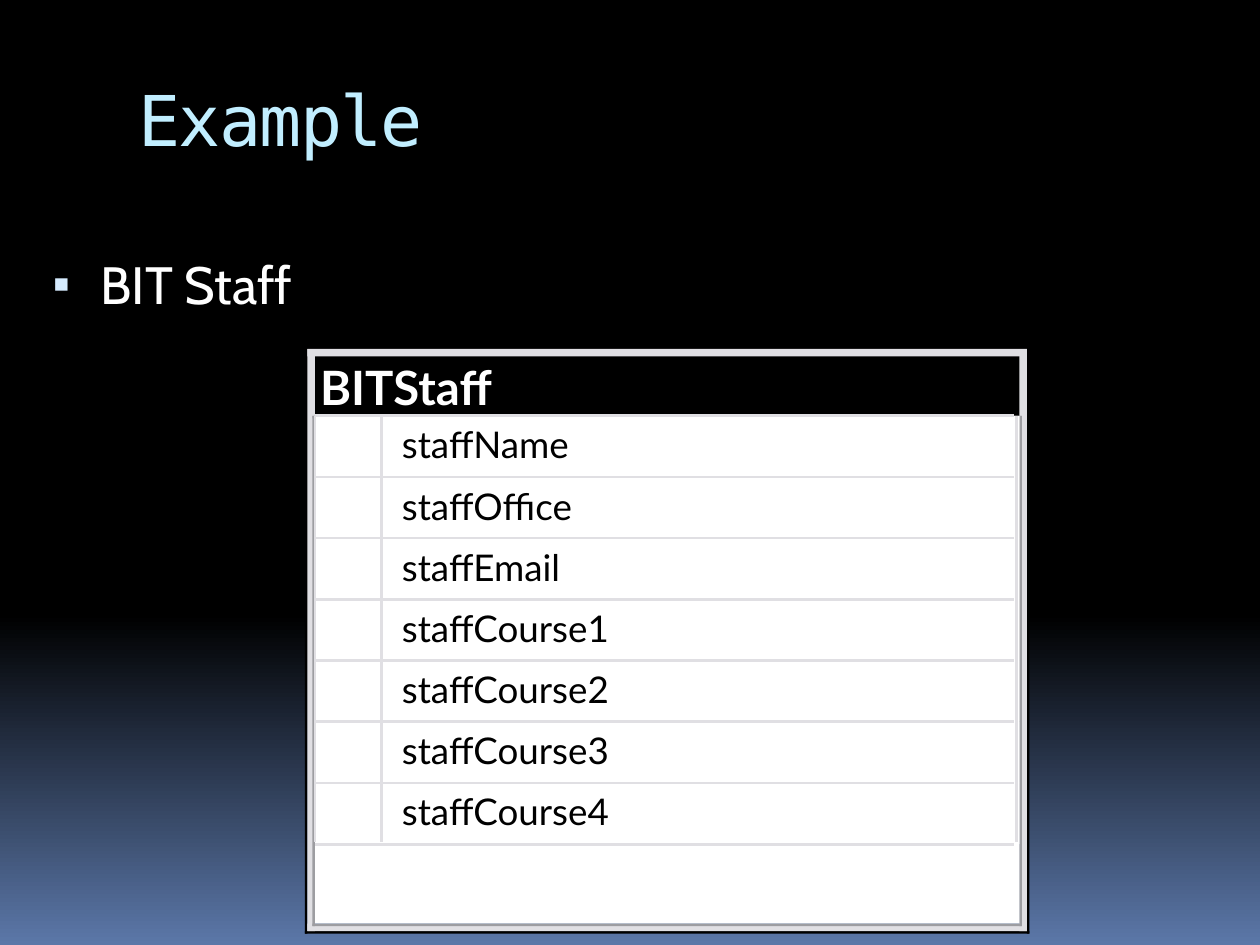
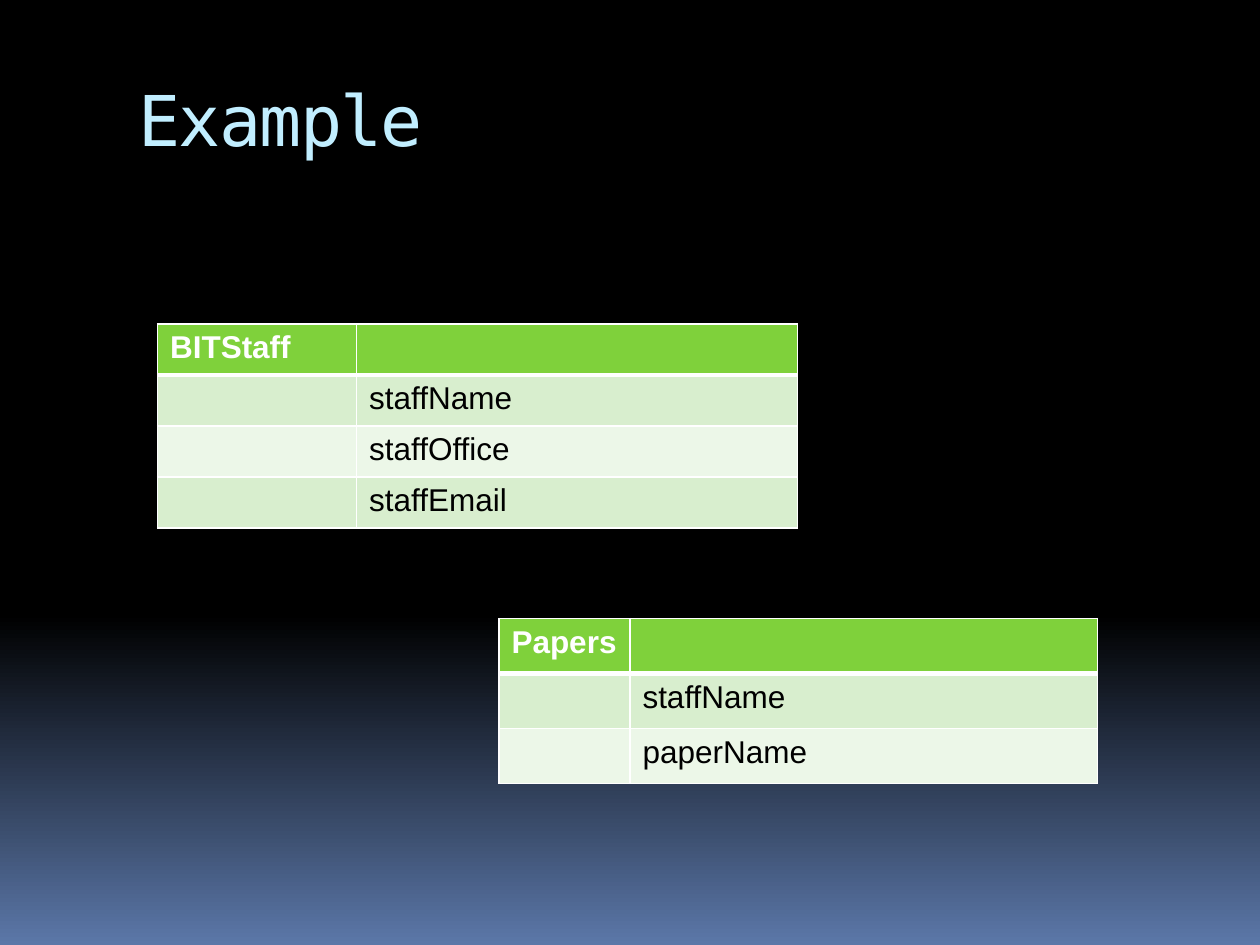
from copy import deepcopy
from dataclasses import dataclass

from lxml import etree
from pptx import Presentation
from pptx.dml.color import RGBColor
from pptx.enum.shapes import MSO_CONNECTOR, MSO_SHAPE
from pptx.enum.text import MSO_ANCHOR, MSO_AUTO_SIZE, PP_ALIGN
from pptx.oxml.ns import qn
from pptx.util import Inches, Pt

RECT = MSO_SHAPE.RECTANGLE
STRAIGHT = MSO_CONNECTOR.STRAIGHT
LEFT = PP_ALIGN.LEFT
TOP = MSO_ANCHOR.TOP
NO_FIT = MSO_AUTO_SIZE.NONE
TITLE_ONLY = 5


@dataclass(frozen=True)
class Theme:
    # Colours
    black: str = "000000"
    white: str = "FFFFFF"
    horizon: str = "5B77A8"
    title: str = "C1EEFF"
    bullet: str = "D6ECFF"
    frame: str = "E0DFE3"
    frame_shade: str = "9D9DA1"
    header: str = "7FD13B"
    bands: tuple = ("D8EECE", "ECF7E8")
    # Fonts
    title_font: str = "DejaVu Sans Mono"
    body_font: str = "Cabin"
    bullet_font: str = "Arial"
    entity_font: str = "Lato"
    table_font: str = "Arial"
    # Type sizes and line widths in points
    title_size: int = 40
    body_size: int = 30
    entity_size: int = 27
    field_size: int = 21
    table_size: int = 18
    rule: float = 1.5
    border: int = 1
    header_border: int = 3


T = Theme()


def rgb(color):
    return RGBColor.from_string(color)


def add_run(p, text, font, size, color, bold=False):
    r = p.add_run()
    r.text = text
    r.font.name = font
    r.font.size = Pt(size)
    r.font.color.rgb = rgb(color)
    r.font.bold = bold
    return r


def add_rect(shapes, x, y, w, h, color):
    sp = shapes.add_shape(RECT, Inches(x), Inches(y), Inches(w), Inches(h))
    sp.shadow.inherit = False
    sp.fill.solid()
    sp.fill.fore_color.rgb = rgb(color)
    sp.line.fill.background()


# Shared look
def set_background(master):
    fill = master.background.fill
    fill.gradient()
    fill.gradient_angle = 270
    stop_list = next(master.element.iter(qn("a:gsLst")))
    stop_list.append(deepcopy(stop_list[-1]))
    stops = ((0, T.black), (0.65, T.black), (1, T.horizon))
    for stop, (position, color) in zip(fill.gradient_stops, stops):
        stop.position = position
        stop.color.rgb = rgb(color)


def add_titled_slide(prs, text):
    s = prs.slides.add_slide(prs.slide_layouts[TITLE_ONLY])
    # Bars beside the title
    for x, w in ((0.34, 0.05), (0.29, 0.03), (0.27, 0.01), (0.24, 0.01)):
        add_rect(s.shapes, x, 0.74, w, 0.4, T.black)
    title = s.shapes.title
    title.left, title.top = Inches(1), Inches(0.56)
    title.width, title.height = Inches(8.5), Inches(1)
    tf = title.text_frame
    tf.auto_size = NO_FIT
    tf.vertical_anchor = TOP
    p = tf.paragraphs[0]
    p.alignment = LEFT
    r = add_run(p, text, T.title_font, T.title_size, T.title)
    r.font._element.set("spc", "-100")
    return s


def add_bullet(s, text, x, y, w, h):
    tf = s.shapes.add_textbox(Inches(x), Inches(y), Inches(w), Inches(h)).text_frame
    tf.word_wrap = True
    p = tf.paragraphs[0]
    p.space_before = Pt(7)
    add_run(p, text, T.body_font, T.body_size, T.white)
    pPr = p._p.get_or_add_pPr()
    pPr.set("marL", str(Inches(0.45)))
    pPr.set("indent", str(Inches(-0.38)))
    color = etree.SubElement(pPr, qn("a:buClr"))
    etree.SubElement(color, qn("a:srgbClr"), val=T.bullet)
    etree.SubElement(pPr, qn("a:buSzPct"), val="95000")
    etree.SubElement(pPr, qn("a:buFont"), typeface=T.bullet_font)
    etree.SubElement(pPr, qn("a:buChar"), char="▪")


# Entity box
def add_frame(shapes, left, top, right, bottom, thick, color):
    """Four strips lying just inside the given edges."""
    width, height = right - left, bottom - top
    add_rect(shapes, right - thick, top, thick, height, color)
    add_rect(shapes, left, bottom - thick, width, thick, color)
    add_rect(shapes, left, top, thick, height, color)
    add_rect(shapes, left, top, width, thick, color)


def add_label(shapes, text, x, y, w, h, size, color, bold=False):
    tf = shapes.add_textbox(Inches(x), Inches(y), Inches(w), Inches(h)).text_frame
    tf.margin_left = tf.margin_right = tf.margin_top = tf.margin_bottom = 0
    tf.word_wrap = False
    add_run(tf.paragraphs[0], text, T.entity_font, size, color, bold)


def add_rule(shapes, x1, y1, x2, y2):
    line = shapes.add_connector(STRAIGHT, Inches(x1), Inches(y1), Inches(x2), Inches(y2))
    line.line.color.rgb = rgb(T.frame)
    line.line.width = Pt(T.rule)
    etree.SubElement(line._element.spPr, qn("a:effectLst"))


def add_entity(s, name, fields):
    shapes = s.shapes.add_group_shape().shapes
    left, right, top, bottom = 2.5, 8.09, 3.3, 7.33
    key_right, rows_bottom = 3.03, 6.7
    pitch = (rows_bottom - top) / len(fields)

    # Outer frames and heading
    add_frame(shapes, 2.42, 2.75, 8.17, 7.41, 0.02, T.black)
    add_frame(shapes, 2.44, 2.77, 8.15, 7.39, 0.06, T.frame)
    add_label(shapes, name, 2.54, 2.84, 1.59, 0.45, T.entity_size, T.white, bold=True)

    # Field area
    add_frame(shapes, 2.48, top, 8.11, 7.35, 0.02, T.frame_shade)
    add_rect(shapes, left, top, right - left, bottom - top, T.white)
    for i, field in enumerate(fields):
        y = top + i * pitch
        add_rect(shapes, left + 0.02, y + 0.02, 0.51, pitch - 0.02, T.white)
        add_rect(shapes, key_right + 0.02, y, 5.04, pitch, T.white)
        add_label(shapes, field, 3.19, y + 0.05, 1.89, 0.44, T.field_size, T.black)

    # Grid
    for i in range(len(fields) + 1):
        y = top + i * pitch
        add_rule(shapes, left, y, right - 0.04, y)
    for x in (left, key_right, right - 0.02):
        add_rule(shapes, x, top, x, rows_bottom - 0.02)


# Tables
def set_borders(cell, **widths):
    tcPr = cell._tc.get_or_add_tcPr()
    for i, side in enumerate("LRTB"):
        width = widths.get(side, T.border)
        ln = etree.Element(qn(f"a:ln{side}"), w=str(Pt(width)))
        fill = etree.SubElement(ln, qn("a:solidFill"))
        etree.SubElement(fill, qn("a:srgbClr"), val=T.white)
        tcPr.insert(i, ln)


def fill_cell(cell, text, fill, color, bold):
    cell.fill.solid()
    cell.fill.fore_color.rgb = rgb(fill)
    if text:
        add_run(cell.text_frame.paragraphs[0], text,
                T.table_font, T.table_size, color, bold)


def add_field_table(s, name, fields, x, y, col_widths, height):
    rows = [(name, "")] + [("", field) for field in fields]
    table = s.shapes.add_table(
        len(rows), 2, Inches(x), Inches(y),
        Inches(sum(col_widths)), Inches(height)).table
    for column, width in zip(table.columns, col_widths):
        column.width = Inches(width)
    for i, texts in enumerate(rows):
        for j, text in enumerate(texts):
            cell = table.cell(i, j)
            if i == 0:
                fill_cell(cell, text, T.header, T.white, True)
                set_borders(cell, B=T.header_border)
            else:
                fill_cell(cell, text, T.bands[(i - 1) % 2], T.black, False)
                set_borders(cell, T=T.header_border if i == 1 else T.border)


def main():
    prs = Presentation()
    prs.slide_width, prs.slide_height = Inches(10), Inches(7.5)
    set_background(prs.slide_master)
    staff_fields = ["staffName", "staffOffice", "staffEmail"]
    courses = [f"staffCourse{n}" for n in range(1, 5)]

    # Slide 1: one entity with repeated course fields
    s = add_titled_slide(prs, "Example")
    add_bullet(s, "BIT Staff", 0.25, 1.95, 9.5, 5)
    add_entity(s, "BITStaff", staff_fields + courses)

    # Slide 2: courses moved to their own table
    s = add_titled_slide(prs, "Example")
    add_field_table(s, "BITStaff", staff_fields, 1.25, 2.57, (1.58, 3.5), 1.6)
    add_field_table(s, "Papers", ["staffName", "paperName"],
                    3.96, 4.91, (1.04, 3.71), 1.31)

    prs.save("out.pptx")


if __name__ == "__main__":
    main()
